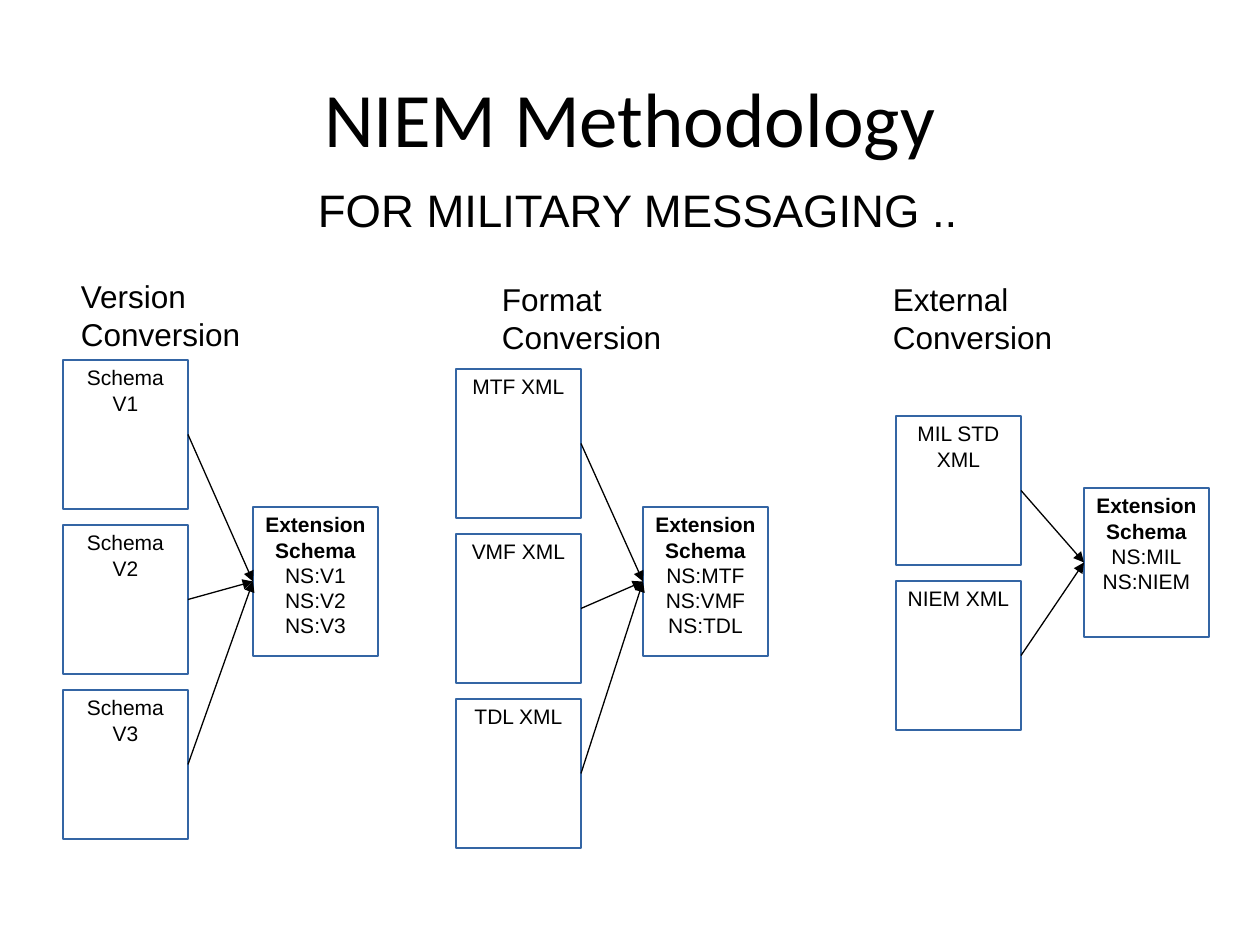
from dataclasses import dataclass

from lxml.etree import SubElement
from pptx import Presentation
from pptx.dml.color import RGBColor
from pptx.enum.shapes import MSO_CONNECTOR, MSO_SHAPE
from pptx.enum.text import MSO_ANCHOR, PP_ALIGN
from pptx.oxml.ns import qn
from pptx.util import Emu, Pt

PX_PER_INCH = 126
BOX_W, BOX_H, BOX_PITCH = 125, 149, 165


@dataclass(frozen=True)
class Theme:
    ink: RGBColor = RGBColor(0, 0, 0)
    outline: RGBColor = RGBColor(0x34, 0x65, 0xA4)
    title_font: str = "Calibri"
    body_font: str = "Arial"
    title: int = 44
    subtitle: int = 26
    heading: int = 18
    label: int = 12
    line: float = 0.75


@dataclass(frozen=True)
class Rect:
    left: int
    top: int
    width: int
    height: int


@dataclass(frozen=True)
class Conversion:
    heading: str
    heading_at: Rect
    left: int
    top: int
    sources: tuple[str, ...]
    hub_left: int
    hub_top: int
    namespaces: tuple[str, ...]


THEME = Theme()
CONVERSIONS = (
    Conversion("Version Conversion", Rect(68, 271, 280, 48), 63, 360,
               ("Schema V1", "Schema V2", "Schema V3"),
               253, 507, ("NS:V1", "NS:V2", "NS:V3")),
    Conversion("Format Conversion", Rect(489, 274, 280, 48), 456, 369,
               ("MTF XML", "VMF XML", "TDL XML"),
               643, 507, ("NS:MTF", "NS:VMF", "NS:TDL")),
    Conversion("External Conversion", Rect(880, 274, 280, 48), 896, 416,
               ("MIL STD XML", "NIEM XML"),
               1084, 488, ("NS:MIL", "NS:NIEM")),
)


def px(n: int) -> Emu:
    return Emu(round(n * 914400 / PX_PER_INCH))


def place(rect: Rect) -> tuple[Emu, ...]:
    return tuple(px(n) for n in (rect.left, rect.top, rect.width, rect.height))


def apply(obj, values: dict) -> None:
    for name, value in values.items():
        setattr(obj, name, value)


def write(sp, lines: tuple[str, ...], size: int, font: str = THEME.body_font,
          align=PP_ALIGN.CENTER, anchor=MSO_ANCHOR.TOP,
          inset: tuple[int, int] = (13, 6), bold_first: bool = False) -> None:
    tf = sp.text_frame
    x, y = (px(n) for n in inset)
    apply(tf, {"word_wrap": True, "vertical_anchor": anchor, "margin_left": x,
               "margin_right": x, "margin_top": y, "margin_bottom": y})
    for i, line in enumerate(lines):
        p = tf.paragraphs[0] if i == 0 else tf.add_paragraph()
        p.alignment = align
        r = p.add_run()
        r.text = line
        apply(r.font, {"name": font, "size": Pt(size),
                       "bold": bold_first and i == 0})
        r.font.color.rgb = THEME.ink


def add_text(s, rect: Rect, text: str, size: int, **style) -> None:
    write(s.shapes.add_textbox(*place(rect)), (text,), size, **style)


def add_box(s, left: int, top: int, lines: tuple[str, ...],
            bold_first: bool = False):
    sp = s.shapes.add_shape(MSO_SHAPE.RECTANGLE,
                            *place(Rect(left, top, BOX_W, BOX_H)))
    sp.shadow.inherit = False
    sp.fill.background()
    sp.line.color.rgb = THEME.outline
    sp.line.width = Pt(THEME.line)
    write(sp, lines, THEME.label, inset=(11, 5), bold_first=bold_first)
    return sp


def add_arrow(s, source, target) -> None:
    cxn = s.shapes.add_connector(MSO_CONNECTOR.STRAIGHT, 0, 0, 0, 0)
    cxn.begin_connect(source, 3)
    cxn.end_connect(target, 1)
    cxn.line.color.rgb = THEME.ink
    cxn.line.width = Pt(THEME.line)
    SubElement(cxn.line._get_or_add_ln(), qn("a:tailEnd"), type="triangle")
    SubElement(cxn._element.spPr, qn("a:effectLst"))


def add_conversion(s, c: Conversion) -> None:
    add_text(s, c.heading_at, c.heading, THEME.heading, align=PP_ALIGN.LEFT)
    sources = [add_box(s, c.left, c.top + i * BOX_PITCH, (name,))
               for i, name in enumerate(c.sources)]
    hub = add_box(s, c.hub_left, c.hub_top,
                  ("Extension Schema", *c.namespaces), bold_first=True)
    for source in sources:
        add_arrow(s, source, hub)


def main() -> None:
    """Build the NIEM methodology slide with its three conversion diagrams."""
    prs = Presentation()
    apply(prs, {"slide_width": px(1260), "slide_height": px(945)})
    s = prs.slides.add_slide(prs.slide_layouts[6])
    add_text(s, Rect(63, 38, 1134, 157), "NIEM Methodology", THEME.title,
             font=THEME.title_font, anchor=MSO_ANCHOR.MIDDLE)
    add_text(s, Rect(305, 176, 741, 63), "FOR MILITARY MESSAGING ..",
             THEME.subtitle, align=PP_ALIGN.LEFT)
    for conversion in CONVERSIONS:
        add_conversion(s, conversion)
    prs.save("out.pptx")


if __name__ == "__main__":
    main()
